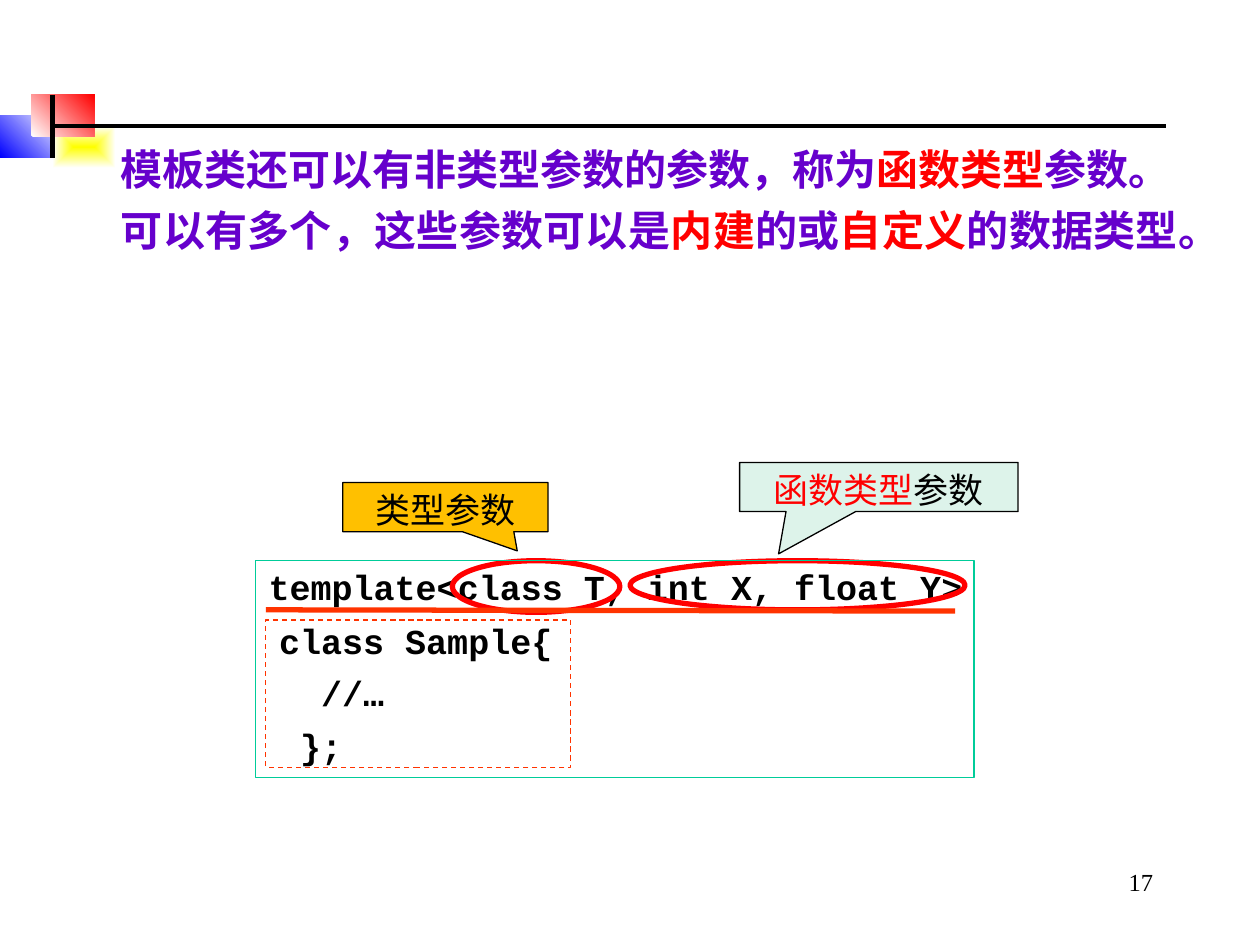
from lxml.etree import SubElement
from pptx import Presentation
from pptx.dml.color import RGBColor
from pptx.enum.dml import MSO_LINE
from pptx.enum.shapes import MSO_CONNECTOR, MSO_SHAPE as SHAPE
from pptx.enum.text import MSO_ANCHOR, PP_ALIGN as ALIGN
from pptx.oxml.ns import qn
from pptx.util import Inches, Pt

COLORS = {
    "black": "000000", "white": "FFFFFF", "blue": "0000FF", "yellow": "FFFF00",
    "red": "FF0000", "purple": "6600CC", "orange": "FF3300", "amber": "FFC000",
    "mint": "DDF3EA", "green": "00CC99",
}
SANS, SERIF, MONO, CJK = "Cabin", "Times New Roman", "Courier New", "Noto Sans CJK SC"
COLS, ROWS = 40, 30


def rgb(name):
    return RGBColor.from_string(COLORS[name])


class Deck:
    """Holds the current slide and a grid of COLS by ROWS cells."""

    def __init__(self, prs):
        self.prs = prs
        self.slide = prs.slides.add_slide(prs.slide_layouts[6])

    def place(self, *cells):
        """Turn alternating column and row counts into lengths."""
        units = (self.prs.slide_width / COLS, self.prs.slide_height / ROWS)
        return [round(n * units[i % 2]) for i, n in enumerate(cells)]

    def shape(self, kind, at, fill=None, line=None, width=0.75, dash=None):
        sp = self.slide.shapes.add_shape(kind, *self.place(*at))
        sp.shadow.inherit = False
        if fill:
            sp.fill.solid()
            sp.fill.fore_color.rgb = rgb(fill)
        else:
            sp.fill.background()
        if line:
            sp.line.color.rgb = rgb(line)
            sp.line.width = Pt(width)
            sp.line.dash_style = dash
        else:
            sp.line.fill.background()
        return sp

    def blend(self, at, start, end, angle=None):
        """Draw a gradient block; without an angle it spreads from the centre."""
        sp = self.shape(SHAPE.RECTANGLE, at)
        sp.fill.gradient()
        for stop, color in zip(sp.fill.gradient_stops, (start, end)):
            stop.color.rgb = rgb(color)
        if angle is not None:
            sp.fill.gradient_angle = angle
            return
        grad = sp._element.spPr.find(qn("a:gradFill"))
        grad.remove(grad.find(qn("a:lin")))
        spread = SubElement(grad, qn("a:path"), path="rect")
        SubElement(spread, qn("a:fillToRect"), l="50000", t="50000", r="50000", b="50000")

    def line(self, ends, color, width):
        ln = self.slide.shapes.add_connector(MSO_CONNECTOR.STRAIGHT, *self.place(*ends))
        ln.line.color.rgb = rgb(color)
        ln.line.width = Pt(width)
        SubElement(ln._element.spPr, qn("a:effectLst"))

    def add_text(self, sp, paragraphs, align, before=0):
        """Fill a shape with paragraphs of (text, size, font, colour, bold) runs."""
        tf = sp.text_frame
        tf.word_wrap = True
        tf.vertical_anchor = MSO_ANCHOR.TOP
        for i, runs in enumerate(paragraphs):
            p = tf.add_paragraph() if i else tf.paragraphs[0]
            p.alignment = align
            if i:
                p.space_before = Pt(before)
            for text, size, face, color, bold in runs:
                r = p.add_run()
                r.text = text
                r.font.size, r.font.bold, r.font.name = Pt(size), bold, face
                r.font.color.rgb = rgb(color)
                SubElement(r._r.get_or_add_rPr(), qn("a:ea"), typeface=face)

    def text_box(self, at, paragraphs, align, before=0):
        self.add_text(self.slide.shapes.add_textbox(*self.place(*at)), paragraphs, align, before)

    def callout(self, at, tip, fill, runs):
        sp = self.shape(SHAPE.RECTANGULAR_CALLOUT, at, fill, "black")
        sp.adjustments[0], sp.adjustments[1] = tip
        self.add_text(sp, [runs], ALIGN.CENTER)


def draw_header(deck):
    deck.blend((0, 3.67, 2, 1.33), "white", "blue", 225)
    deck.blend((1.67, 4, 2, 1.33), "yellow", "white")
    deck.blend((1, 3, 2, 1.33), "white", "red", 45)
    deck.line((1.67, 4, 37, 4), "black", 2.5)
    deck.line((1.67, 3, 1.67, 5), "black", 2.5)


def draw_texts(deck):
    code = ["template<class T, int X, float Y>", " class Sample{", "   //…", "  };"]
    lines = [[(line, 20, MONO, "black", True)] for line in code]
    lines[0].insert(0, (" ", 24, SERIF, "purple", True))
    deck.text_box((7.8, 17.52, 26.56, 7), lines, ALIGN.JUSTIFY, 6)

    intro = [
        [("模板类还可以有非类型参数的参数，称为", "purple"), ("函数类型", "red"),
         ("参数。", "purple")],
        [("可以有多个，这些参数可以是", "purple"), ("内建", "red"), ("的或", "purple"),
         ("自定义", "red"), ("的数据类型。", "purple")],
    ]
    deck.text_box((3.44, 4.36, 34.36, 7.16),
                  [[(t, 24, SANS, color, True) for t, color in runs] for runs in intro],
                  ALIGN.JUSTIFY, 6)


def draw_marks(deck):
    for at in ((14.36, 17.8, 5.32, 1.64), (20, 17.8, 10.64, 1.56)):
        deck.shape(SHAPE.OVAL, at, line="red", width=3)
    deck.callout((10.88, 15.32, 6.52, 1.56), (0.35, 0.89), "amber",
                 [("类型参数", 20, SANS, "black", False)])
    deck.callout((23.48, 14.68, 8.84, 1.56), (-0.36, 1.36), "mint",
                 [("函数类型", 20, CJK, "red", False), ("参数", 20, SANS, "black", False)])
    deck.text_box((28.68, 27.32, 8.32, 2), [[("17", 14, SERIF, "black", False)]], ALIGN.RIGHT)
    deck.line((8.44, 19.36, 30.32, 19.4), "orange", 3)
    deck.shape(SHAPE.RECTANGLE, (8.12, 17.8, 22.8, 6.88), line="green")
    deck.shape(SHAPE.RECTANGLE, (8.44, 19.68, 9.68, 4.68), line="orange", dash=MSO_LINE.DASH)


def main():
    prs = Presentation()
    prs.slide_width, prs.slide_height = Inches(10), Inches(7.5)
    deck = Deck(prs)
    draw_header(deck)
    draw_texts(deck)
    draw_marks(deck)
    prs.save("out.pptx")


if __name__ == "__main__":
    main()
